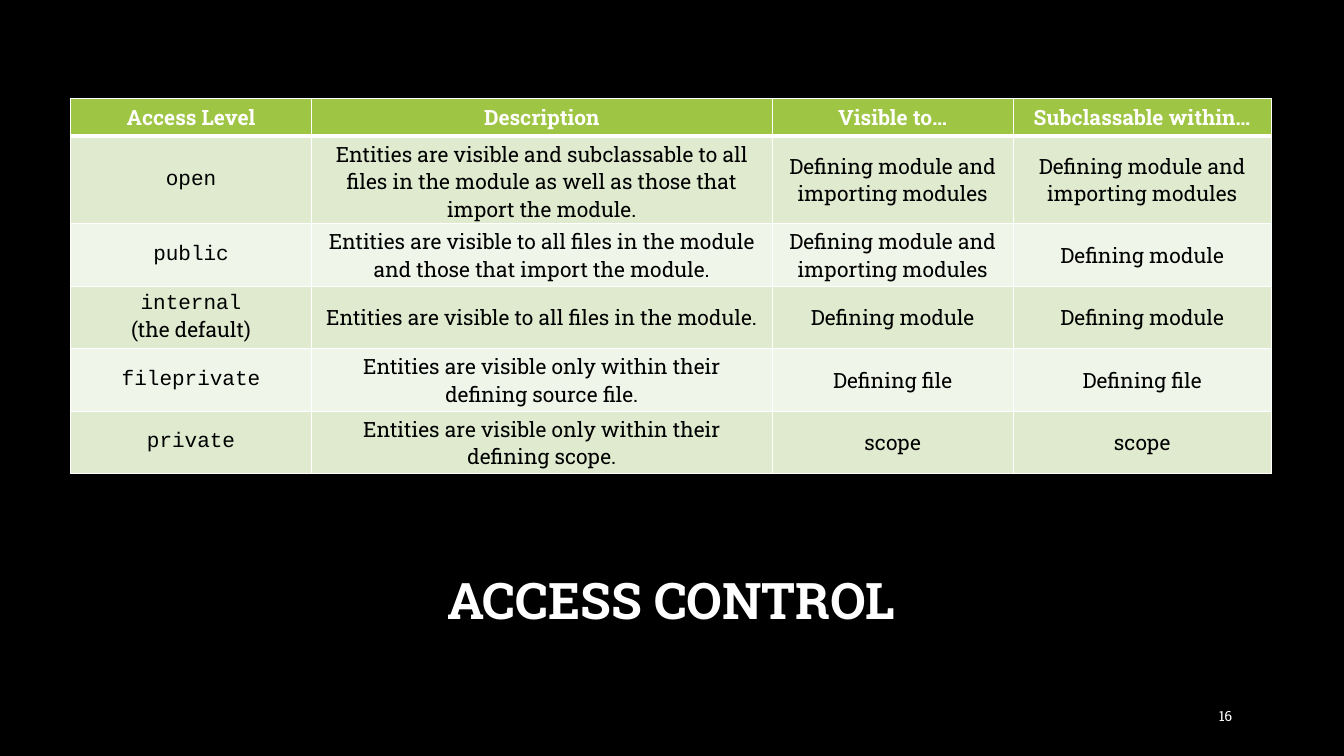
"""Build the access control slide: a table of access levels above its title."""
from dataclasses import dataclass

from lxml.etree import SubElement
from pptx import Presentation
from pptx.dml.color import RGBColor
from pptx.enum.text import MSO_ANCHOR, PP_ALIGN
from pptx.oxml.ns import qn
from pptx.util import Inches, Pt

TITLE = "ACCESS CONTROL"
PAGE_NUMBER = "16"
HEADINGS = ("Access Level", "Description", "Visible to…", "Subclassable within…")
BOTH_MODULES = "Defining module and importing modules"
LEVELS = [
    ("open", "Entities are visible and subclassable to all files in the module "
             "as well as those that import the module.", BOTH_MODULES, BOTH_MODULES),
    ("public", "Entities are visible to all files in the module and those that "
               "import the module.", BOTH_MODULES, "Defining module"),
    ("internal\n(the default)", "Entities are visible to all files in the module.",
     "Defining module", "Defining module"),
    ("fileprivate", "Entities are visible only within their defining source file.",
     "Defining file", "Defining file"),
    ("private", "Entities are visible only within their defining scope.",
     "scope", "scope"),
]
COLUMN_WIDTHS = (2.39, 4.57, 2.39, 2.56)
ROW_HEIGHTS = (0.37, 0.87) + (0.62,) * 4
TABLE_LEFT, TABLE_TOP = 0.7, 0.98


@dataclass(frozen=True)
class Theme:
    """Colours, fonts and type sizes of the slide."""
    background: str = "000000"
    light: str = "FFFFFF"
    dark: str = "000000"
    header: str = "9EC544"
    bands: tuple = ("DFEACF", "F0F5E9")
    font: str = "Roboto Slab"
    code_font: str = "Courier New"
    title_size: int = 36
    table_size: int = 15
    number_size: int = 10


THEME = Theme()


def style(paragraph, size, color, alignment, bold=False, name=THEME.font):
    """Set the font and alignment of a paragraph."""
    paragraph.alignment = alignment
    font = paragraph.font
    font.size, font.bold, font.name = Pt(size), bold, name
    font.color.rgb = RGBColor.from_string(color)


def add_label(slide, text, box, size, alignment, anchor, bold=False):
    """Add one line of light text in a box and return its paragraph."""
    frame = slide.shapes.add_textbox(*map(Inches, box)).text_frame
    frame.word_wrap = True
    frame.vertical_anchor = anchor
    frame.text = text
    style(frame.paragraphs[0], size, THEME.light, alignment, bold)
    return frame.paragraphs[0]


def add_borders(cell, top, bottom):
    """Draw the four borders of a cell, with widths in points."""
    properties = cell._tc.get_or_add_tcPr()
    for side, width in (("L", 1), ("R", 1), ("T", top), ("B", bottom)):
        line = SubElement(properties, qn(f"a:ln{side}"), w=str(Pt(width)))
        fill = SubElement(line, qn("a:solidFill"))
        SubElement(fill, qn("a:srgbClr"), val=THEME.light)


def fill_cell(cell, text, row, column):
    """Write and style one table cell."""
    is_header = row == 0
    add_borders(cell, top=3 if row == 1 else 1, bottom=3 if is_header else 1)
    cell.fill.solid()
    color = THEME.header if is_header else THEME.bands[(row - 1) % 2]
    cell.fill.fore_color.rgb = RGBColor.from_string(color)
    cell.vertical_anchor = MSO_ANCHOR.MIDDLE
    cell.margin_left = cell.margin_right = Inches(0.08)
    cell.margin_top = cell.margin_bottom = Inches(0.04)
    cell.text = text
    for index, paragraph in enumerate(cell.text_frame.paragraphs):
        is_code = not is_header and column == 0 and index == 0
        style(paragraph, THEME.table_size, THEME.light if is_header else THEME.dark,
              PP_ALIGN.CENTER, is_header, THEME.code_font if is_code else THEME.font)


def add_level_table(slide):
    """Add the table of access levels."""
    rows = [HEADINGS, *LEVELS]
    box = (TABLE_LEFT, TABLE_TOP, sum(COLUMN_WIDTHS), sum(ROW_HEIGHTS))
    table = slide.shapes.add_table(len(rows), len(HEADINGS), *map(Inches, box)).table
    for column, width in zip(table.columns, COLUMN_WIDTHS):
        column.width = Inches(width)
    for table_row, height in zip(table.rows, ROW_HEIGHTS):
        table_row.height = Inches(height)
    for row, texts in enumerate(rows):
        for column, text in enumerate(texts):
            fill_cell(table.cell(row, column), text, row, column)


def main():
    """Build and save the presentation."""
    presentation = Presentation()
    presentation.slide_width, presentation.slide_height = Inches(13.33), Inches(7.5)
    slide = presentation.slides.add_slide(presentation.slide_layouts[6])
    slide.background.fill.solid()
    slide.background.fill.fore_color.rgb = RGBColor.from_string(THEME.background)
    title = add_label(slide, TITLE, (1, 5.27, 11.32, 1.03), THEME.title_size,
                      PP_ALIGN.CENTER, MSO_ANCHOR.BOTTOM, bold=True)
    title.line_spacing = 0.9
    number = add_label(slide, PAGE_NUMBER, (11.5, 6.9, 0.82, 0.4), THEME.number_size,
                       PP_ALIGN.RIGHT, MSO_ANCHOR.MIDDLE)
    number.space_after = Pt(6)
    add_level_table(slide)
    presentation.save("out.pptx")


if __name__ == "__main__":
    main()
